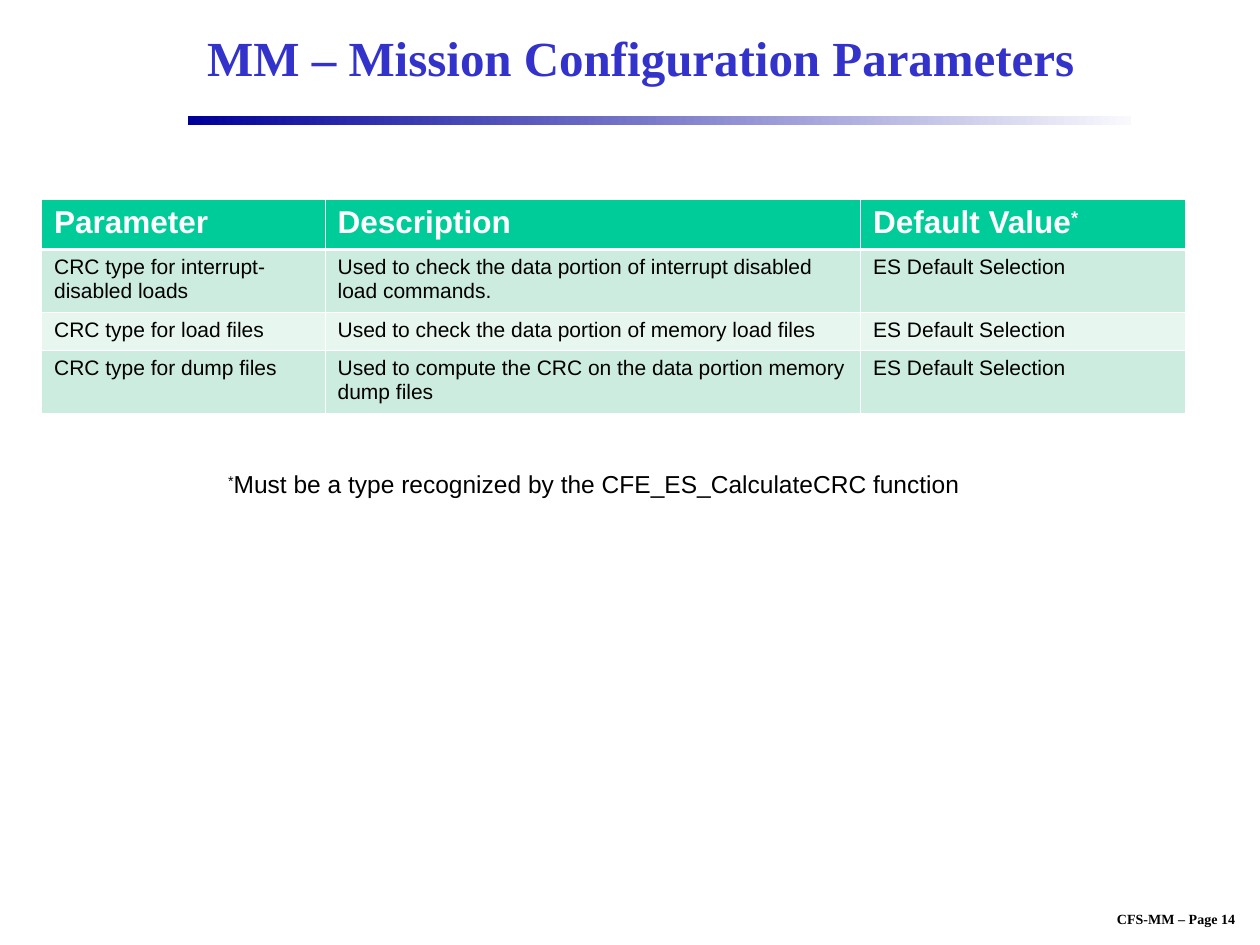
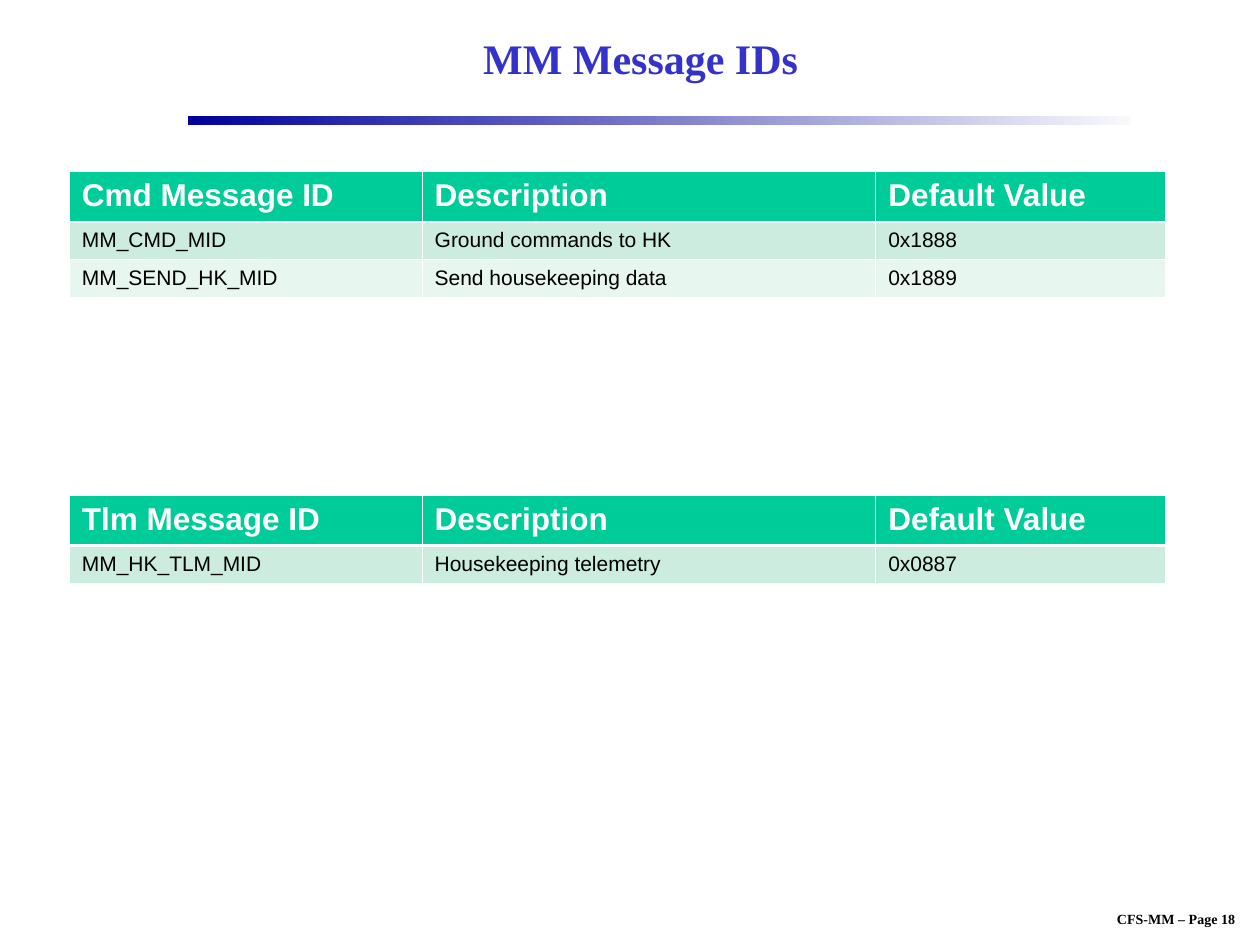
from pptx import Presentation, util as u
from pptx.dml.color import RGBColor
from pptx.enum import shapes, text
from lxml import etree

HUES = {"title": "3333CC", "ink": "000000", "head": "00CC99", "odd": "CBECDE",
        "even": "E7F6EF", "white": "FFFFFF", "dark": "000099", "pale": "F9F9FD"}
RGB = {name: RGBColor.from_string(code) for name, code in HUES.items()}
NS = "http://schemas.openxmlformats.org/drawingml/2006/main"
SERIF, SANS = "Times New Roman", "Arial"
HEAD = {"name": SANS, "size": u.Pt(18), "bold": True}
BODY = {"name": SANS, "size": u.Pt(12), "bold": False}
NOTE = {"name": SANS, "size": u.Pt(14), "bold": False}
FOOT = {"name": SERIF, "size": u.Pt(8), "bold": True}


def write(frame, words, look, hue, align=text.PP_ALIGN.LEFT):
    para = frame.paragraphs[0]
    para.alignment = align
    for part in filter(None, words.partition("*")):
        run = para.add_run()
        run.text = part
        for key, value in look.items():
            setattr(run.font, key, value)
        run.font.color.rgb = RGB[hue]
        if part == "*":
            run._r.get_or_add_rPr().set("baseline", "30000")


def label(slide, words, spot, look, hue, wrap=False):
    frame = slide.shapes.add_textbox(*map(u.Inches, spot)).text_frame
    frame.word_wrap = wrap
    frame.vertical_anchor = text.MSO_ANCHOR.MIDDLE
    write(frame, words, look, hue, text.PP_ALIGN.CENTER)


ES = "ES Default Selection"
WIDE, EVEN = [2.25, 4.25, 2.58], [2.8, 3.6, 2.3]
PAGES = [
    ("MM – Mission Configuration Parameters", 28, 14,
     "*Must be a type recognized by the CFE_ES_CalculateCRC function", [
         (0.33, 1.58, WIDE, [0.4, 0.5, 0.3, 0.5], [
             ("Parameter", "Description", "Default Value*"),
             ("CRC type for interrupt-disabled loads",
              "Used to check the data portion of interrupt disabled load commands.", ES),
             ("CRC type for load files",
              "Used to check the data portion of memory load files", ES),
             ("CRC type for dump files",
              "Used to compute the CRC on the data portion memory dump files", ES)])]),
    ("MM Message IDs", 24, 18, None, [
        (0.55, 1.36, EVEN, [0.4, 0.3, 0.3], [
            ("Cmd Message ID", "Description", "Default Value"),
            ("MM_CMD_MID", "Ground commands to HK", "0x1888"),
            ("MM_SEND_HK_MID", "Send housekeeping data", "0x1889")]),
        (0.55, 3.93, EVEN, [0.4, 0.3], [
            ("Tlm Message ID", "Description", "Default Value"),
            ("MM_HK_TLM_MID", "Housekeeping telemetry", "0x0887")])]),
]

deck = Presentation()
deck.slide_width, deck.slide_height = u.Inches(10), u.Inches(7.5)

for title, size, page, note, tables in PAGES:
    slide = deck.slides.add_slide(deck.slide_layouts[6])
    label(slide, f"CFS-MM – Page {page}", (8.57, 7.18, 1.53, 0.23), FOOT, "ink")

    band = slide.shapes.add_shape(shapes.MSO_SHAPE.RECTANGLE,
                                  *map(u.Inches, (1.49, 0.92, 7.49, 0.07)))
    band.shadow.inherit = False
    band.line.fill.background()
    band.fill.gradient()
    band.fill.gradient_angle = 0
    for stop, hue in zip(band.fill.gradient_stops, ("dark", "pale")):
        stop.color.rgb = RGB[hue]

    look = {"name": SERIF, "size": u.Pt(size), "bold": True}
    label(slide, title, (1.5, 0.08, 7.17, 0.75), look, "title", True)

    for left, top, cols, rows, data in tables:
        spot = map(u.Inches, (left, top, sum(cols), sum(rows)))
        grid = slide.shapes.add_table(len(rows), len(cols), *spot).table
        for col, width in zip(grid.columns, cols):
            col.width = u.Inches(width)
        for r, (height, line) in enumerate(zip(rows, data)):
            grid.rows[r].height = u.Inches(height)
            look, hue = (BODY, "ink") if r else (HEAD, "white")
            fill = ("even", "odd")[r % 2] if r else "head"
            for c, words in enumerate(line):
                cell = grid.cell(r, c)
                write(cell.text_frame, words, look, hue)
                props = cell._tc.get_or_add_tcPr()
                for side in "LRTB":
                    thick = (r, side) in ((0, "B"), (1, "T"))
                    edge = etree.SubElement(props, f"{{{NS}}}ln{side}",
                                            w=str(u.Pt(1.47 if thick else 0.45)))
                    paint = etree.SubElement(edge, f"{{{NS}}}solidFill")
                    etree.SubElement(paint, f"{{{NS}}}srgbClr", val=HUES["white"])
                cell.fill.solid()
                cell.fill.fore_color.rgb = RGB[fill]

    if note:
        label(slide, note, (1.71, 3.67, 6.01, 0.34), NOTE, "ink")

deck.save("out.pptx")
